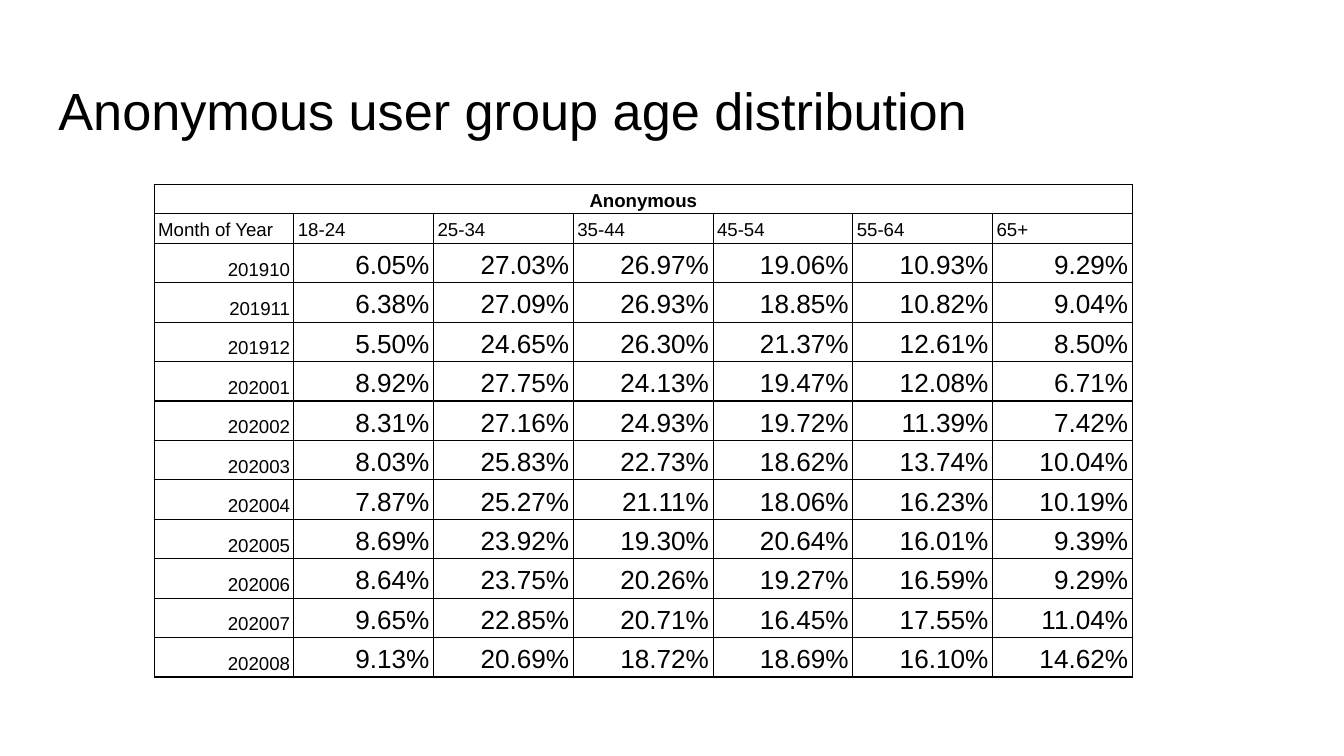
"""Build a slide with a table of the age distribution of anonymous users by month."""
from typing import NamedTuple

from lxml import etree
from pptx import Presentation
from pptx.dml.color import RGBColor
from pptx.enum.text import MSO_ANCHOR, PP_ALIGN
from pptx.oxml.ns import qn
from pptx.util import Emu, Pt

LEFT, CENTER, RIGHT = PP_ALIGN.LEFT, PP_ALIGN.CENTER, PP_ALIGN.RIGHT
TOP, BOTTOM = MSO_ANCHOR.TOP, MSO_ANCHOR.BOTTOM
EMU_PER_PX = 3048
BLACK, WHITE = "000000", "FFFFFF"
FONT = "Arial"
BORDER_PT = 0.75
COL_W, HEAD_H, ROW_H = 312, 66, 88
TABLE_X, TABLE_Y = 344, 411


class TextStyle(NamedTuple):
    size: int
    align: PP_ALIGN = LEFT
    bold: bool = False
    spacing: float = 1.15


TITLE = TextStyle(28, spacing=1.0)
GROUP = TextStyle(10, CENTER, True)
HEADER = TextStyle(10)
MONTH = TextStyle(10, RIGHT)
SHARE = TextStyle(14, RIGHT)

AGES = ["18-24", "25-34", "35-44", "45-54", "55-64", "65+"]
SHARES = {
    "201910": [6.05, 27.03, 26.97, 19.06, 10.93, 9.29],
    "201911": [6.38, 27.09, 26.93, 18.85, 10.82, 9.04],
    "201912": [5.50, 24.65, 26.30, 21.37, 12.61, 8.50],
    "202001": [8.92, 27.75, 24.13, 19.47, 12.08, 6.71],
    "202002": [8.31, 27.16, 24.93, 19.72, 11.39, 7.42],
    "202003": [8.03, 25.83, 22.73, 18.62, 13.74, 10.04],
    "202004": [7.87, 25.27, 21.11, 18.06, 16.23, 10.19],
    "202005": [8.69, 23.92, 19.30, 20.64, 16.01, 9.39],
    "202006": [8.64, 23.75, 20.26, 19.27, 16.59, 9.29],
    "202007": [9.65, 22.85, 20.71, 16.45, 17.55, 11.04],
    "202008": [9.13, 20.69, 18.72, 18.69, 16.10, 14.62],
}


def px(n: int) -> Emu:
    return Emu(n * EMU_PER_PX)


def color(value: str) -> RGBColor:
    return RGBColor.from_string(value)


def set_format(target, values: dict) -> None:
    for name, value in values.items():
        setattr(target, name, value)


def margins(side: int, top: int, bottom: int) -> dict:
    return {"margin_left": px(side), "margin_right": px(side),
            "margin_top": px(top), "margin_bottom": px(bottom)}


def write(tf, text: str, style: TextStyle) -> None:
    p = tf.paragraphs[0]
    set_format(p, {"alignment": style.align, "line_spacing": style.spacing})
    r = p.add_run()
    r.text = text
    set_format(r.font, {"name": FONT, "size": Pt(style.size), "bold": style.bold})
    r.font.color.rgb = color(BLACK)


def add_borders(cell) -> None:
    tc_pr = cell._tc.get_or_add_tcPr()
    for i, side in enumerate(("a:lnL", "a:lnR", "a:lnT", "a:lnB")):
        ln = etree.Element(qn(side), w=str(Pt(BORDER_PT)))
        fill = etree.SubElement(ln, qn("a:solidFill"))
        etree.SubElement(fill, qn("a:srgbClr"), val=BLACK)
        tc_pr.insert(i, ln)


def fill_cell(cell, text: str, style: TextStyle) -> None:
    set_format(cell, {"vertical_anchor": BOTTOM, **margins(9, 0, 6)})
    cell.fill.background()
    add_borders(cell)
    if text:
        write(cell.text_frame, text, style)


def add_title(s, text: str) -> None:
    tf = s.shapes.add_textbox(px(101), px(145), px(2796), px(189)).text_frame
    set_format(tf, {"word_wrap": True, "vertical_anchor": TOP, **margins(30, 30, 30)})
    write(tf, text, TITLE)


def add_age_table(s) -> None:
    rows = [[("Anonymous", GROUP)] + [("", GROUP)] * len(AGES),
            [(text, HEADER) for text in ["Month of Year", *AGES]]]
    rows += [[(month, MONTH)] + [(f"{v:.2f}%", SHARE) for v in values]
             for month, values in SHARES.items()]
    heights = [HEAD_H] * 2 + [ROW_H] * len(SHARES)
    n_cols = len(AGES) + 1
    frame = s.shapes.add_table(len(rows), n_cols, px(TABLE_X), px(TABLE_Y),
                               px(COL_W * n_cols), px(sum(heights)))
    table = frame.table
    set_format(table, {"first_row": False, "horz_banding": False})
    for col in table.columns:
        col.width = px(COL_W)
    for i, (row, height) in enumerate(zip(rows, heights)):
        table.rows[i].height = px(height)
        for j, (text, style) in enumerate(row):
            fill_cell(table.cell(i, j), text, style)
    table.cell(0, 0).merge(table.cell(0, n_cols - 1))


def main() -> None:
    prs = Presentation()
    set_format(prs, {"slide_width": px(3000), "slide_height": px(1687)})
    s = prs.slides.add_slide(prs.slide_layouts[6])
    s.background.fill.solid()
    s.background.fill.fore_color.rgb = color(WHITE)
    add_title(s, "Anonymous user group age distribution")
    add_age_table(s)
    prs.save("out.pptx")


if __name__ == "__main__":
    main()
